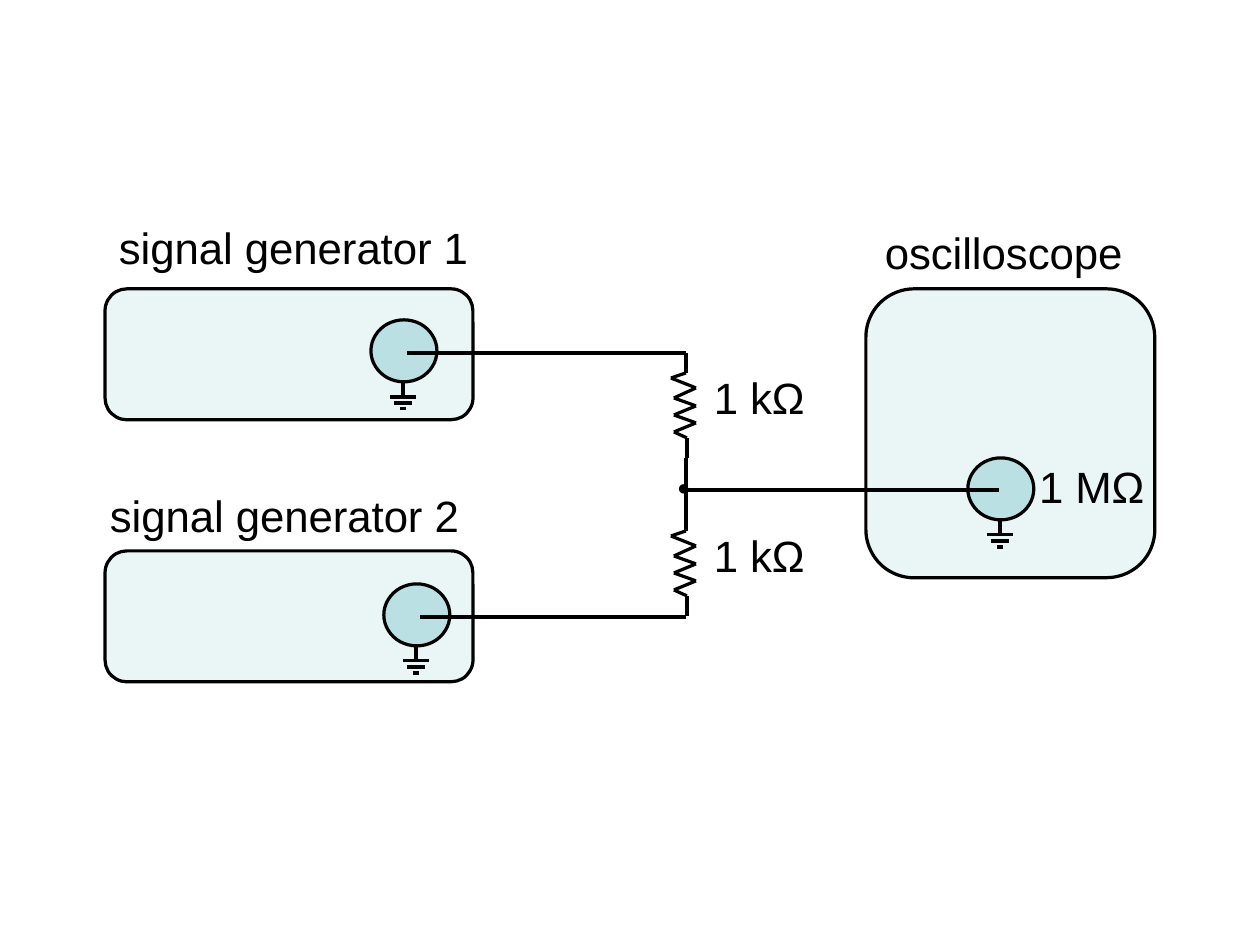
import itertools
import pptx
import pptx.util
import pptx.dml.color
import pptx.enum.shapes
import pptx.enum.text
import pptx.oxml.ns
import lxml.etree

SCALE = 914400 / 315
SHAPES = pptx.enum.shapes.MSO_SHAPE
BLACK, PANEL, JACK = "000000", "EAF5F6", "BBE0E3"
JACK_SIZE = (66, 62)
GROUND_BARS = ((13, 15), (9, 21), (3, 27))
RESISTOR_POINTS = (
    (15, 0), (15, 20), (0, 25), (25, 35), (3, 45), (25, 53),
    (3, 62), (25, 70), (3, 79), (16, 85), (16, 105),
)


def emu(*pixels):
    return [pptx.util.Emu(round(pixel * SCALE)) for pixel in pixels]


def color(value):
    return pptx.dml.color.RGBColor.from_string(value)


def apply(target, values):
    for name, value in values.items():
        setattr(target, name, value)


def set_outline(line):
    line.color.rgb = color(BLACK)
    line.width = pptx.util.Pt(0.74)


def add_line(shapes, start, end):
    connector = shapes.add_connector(
        pptx.enum.shapes.MSO_CONNECTOR.STRAIGHT, *emu(*start, *end))
    set_outline(connector.line)
    lxml.etree.SubElement(
        connector._element.spPr, pptx.oxml.ns.qn("a:effectLst"))


def add_outline_shape(slide, kind, box, fill):
    shape = slide.shapes.add_shape(kind, *emu(*box))
    shape.shadow.inherit = False
    shape.fill.solid()
    shape.fill.fore_color.rgb = color(fill)
    set_outline(shape.line)
    return shape


def add_label(slide, box, text, size=10):
    frame = slide.shapes.add_textbox(*emu(*box)).text_frame
    apply(frame, {
        "word_wrap": False,
        "auto_size": pptx.enum.text.MSO_AUTO_SIZE.NONE,
        "margin_right": 0,
    })
    paragraph = frame.paragraphs[0]
    paragraph.alignment = pptx.enum.text.PP_ALIGN.LEFT
    run = paragraph.add_run()
    run.text = text
    apply(run.font, {"name": "Arial", "size": pptx.util.Pt(size)})
    run.font.color.rgb = color(BLACK)


def add_ground(slide, x, y):
    shapes = slide.shapes.add_group_shape().shapes
    add_line(shapes, (x, y), (x, y + GROUND_BARS[0][1]))
    for half, drop in GROUND_BARS:
        add_line(shapes, (x - half, y + drop), (x + half, y + drop))


def add_instrument(slide, box, name, label_box, jack_offset):
    left, top, width, height = box
    panel = add_outline_shape(slide, SHAPES.ROUNDED_RECTANGLE, box, PANEL)
    panel.adjustments[0] = 0.167
    label_left, label_top, label_width = label_box
    add_label(slide, (left + label_left, top + label_top, label_width, 85), name)
    jack_left, jack_top = left + jack_offset[0], top + jack_offset[1]
    jack_width, jack_height = JACK_SIZE
    add_outline_shape(
        slide, SHAPES.OVAL, (jack_left, jack_top, *JACK_SIZE), JACK)
    add_ground(slide, jack_left + jack_width / 2 - 1, jack_top + jack_height)


def add_resistor(slide, left, top):
    shapes = slide.shapes.add_group_shape().shapes
    points = [(left + x, top + y) for x, y in RESISTOR_POINTS]
    for start, end in itertools.pairwise(points):
        add_line(shapes, start, end)
    add_label(slide, (left + 12, top + 2, 154, 85), "1 kΩ")


def add_wiring(slide):
    add_line(slide.shapes, (407, 353), (686, 353))
    add_line(slide.shapes, (420, 617), (686, 617))
    add_line(slide.shapes, (686, 458), (686, 512))
    add_line(slide.shapes, (686, 490), (999, 490))
    add_label(slide, (646, 458, 85, 60), "●", 5)


def build_circuit(slide):
    add_instrument(slide, (866, 289, 289, 289), "oscilloscope",
                   (-12, -79, 310), (102, 169))
    add_instrument(slide, (105, 289, 368, 131), "signal generator 1",
                   (-17, -84, 413), (266, 31))
    add_instrument(slide, (105, 551, 368, 131), "signal generator 2",
                   (-26, -78, 413), (279, 33))
    add_resistor(slide, 671, 353)
    add_resistor(slide, 671, 511)
    add_wiring(slide)
    add_label(slide, (1008, 444, 180, 85), "1 MΩ")


presentation = pptx.Presentation()
apply(presentation, {
    "slide_width": pptx.util.Inches(4),
    "slide_height": pptx.util.Inches(3),
})
build_circuit(presentation.slides.add_slide(presentation.slide_layouts[6]))
presentation.save("out.pptx")
